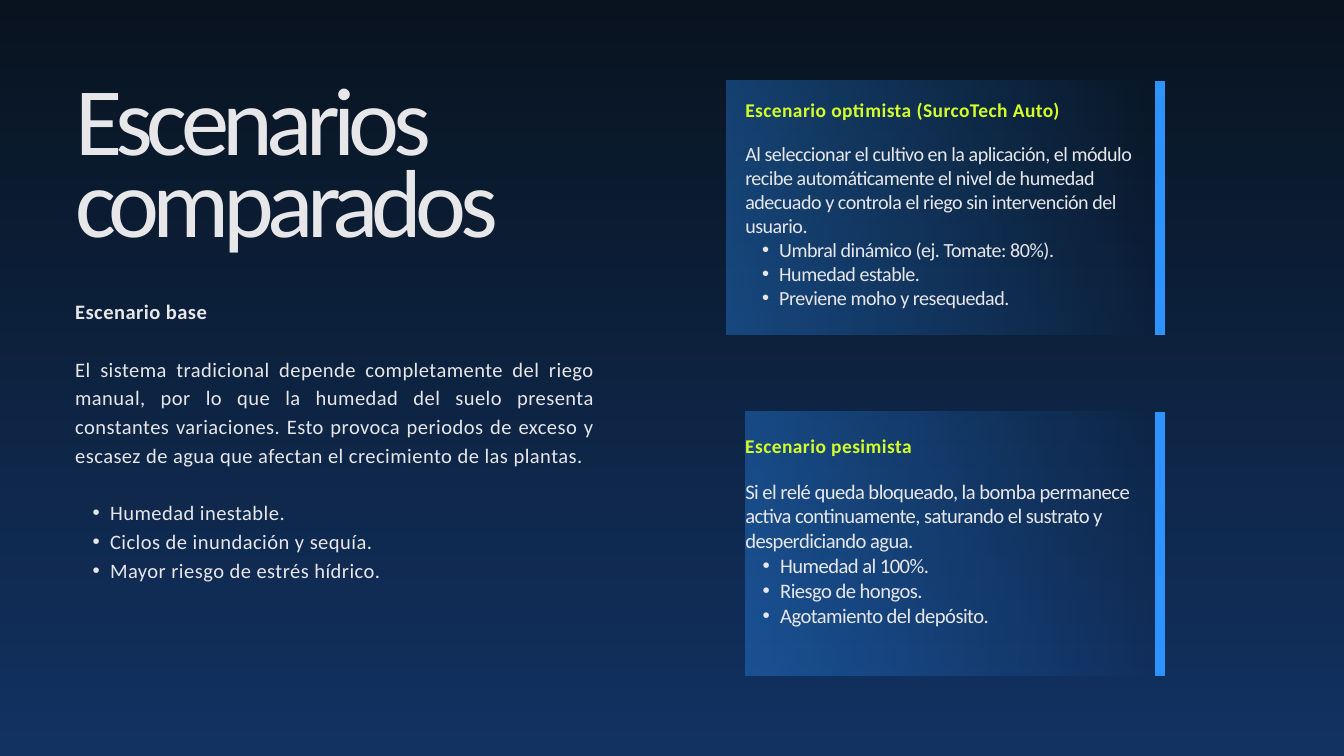
from pptx import Presentation
from pptx.dml.color import RGBColor
from pptx.enum import shapes, text
from pptx.oxml import ns, xmlchemy
from pptx.util import Pt

PALE, LIME, BLUE = "E7E7E9", "D4FF29", "2C93FF"
LEFT, COLUMN, RIGHT = 80.6, 798.5, 1242.7

TITLE = "Escenarios comparados"
BASE = {
    "heading": "Escenario base",
    "intro": "El sistema tradicional depende completamente del riego manual, por lo que la humedad del suelo presenta constantes variaciones. Esto provoca periodos de exceso y escasez de agua que afectan el crecimiento de las plantas.",
    "points": ["Humedad inestable.", "Ciclos de inundación y sequía.", "Mayor riesgo de estrés hídrico."],
}
SCENARIOS = [
    {
        "heading": "Escenario optimista (SurcoTech Auto)",
        "intro": "Al seleccionar el cultivo en la aplicación, el módulo recibe automáticamente el nivel de humedad adecuado y controla el riego sin intervención del usuario.",
        "points": ["Umbral dinámico (ej. Tomate: 80%).", "Humedad estable.", "Previene moho y resequedad."],
        "panel": (778.3, 86.4, 272.2),
        "heading_box": (COLUMN, 100.8, 416.2, 30.2),
        "body_box": (COLUMN, 151.2, 416.2, 207.4),
        "format": {"size": 21.5, "spacing": -0.5, "leading": 25.8, "indent": 18.2},
    },
    {
        "heading": "Escenario pesimista",
        "intro": "Si el relé queda bloqueado, la bomba permanece activa continuamente, saturando el sustrato y desperdiciando agua.",
        "points": ["Humedad al 100%.", "Riesgo de hongos.", "Agotamiento del depósito."],
        "panel": (COLUMN, 441.4, 282.9),
        "heading_box": (COLUMN, 460.8, 216, 30.2),
        "body_box": (COLUMN, 512.6, 423.4, 187.9),
        "format": {"size": 22.1, "spacing": -0.6, "leading": 26.6, "indent": 18.7},
    },
]
TITLE_FORMAT = {"size": 103.5, "spacing": -7.1, "leading": 88}
BASE_FORMAT = {"size": 22, "spacing": 0.5, "leading": 30.8, "indent": 18.7,
               "align": text.PP_ALIGN.JUSTIFY}
HEADING_FORMAT = {"size": 20.8, "spacing": 0.5, "leading": 29.1, "color": LIME, "bold": True}


def rgb(value):
    return RGBColor.from_string(value)


def add_child(parent, tag, **attributes):
    child = xmlchemy.OxmlElement(tag)
    for key, value in attributes.items():
        child.set(key, value)
    parent.append(child)


def blend(fill, colors, angle):
    fill.gradient()
    fill.gradient_angle = angle
    for stop, color in zip(fill.gradient_stops, colors):
        stop.color.rgb = rgb(color)


def write(slide, box, paragraphs, style):
    frame = slide.shapes.add_textbox(*map(Pt, box)).text_frame
    settings = {"word_wrap": True, "auto_size": text.MSO_AUTO_SIZE.SHAPE_TO_FIT_TEXT,
                "margin_left": 0, "margin_right": 0, "margin_top": 0, "margin_bottom": 0}
    for name, value in settings.items():
        setattr(frame, name, value)
    for index, (words, extra) in enumerate(paragraphs):
        look = {**style, **extra}
        paragraph = frame.add_paragraph() if index else frame.paragraphs[0]
        paragraph.line_spacing = Pt(look["leading"])
        paragraph.alignment = look.get("align", text.PP_ALIGN.LEFT)
        if "before" in look:
            paragraph.space_before = Pt(look["before"])
        if look.get("bullet"):
            paragraph.level = 1
            properties = paragraph._p.get_or_add_pPr()
            properties.set("marL", str(Pt(2 * look["indent"])))
            properties.set("indent", str(-Pt(look["indent"])))
            add_child(properties, "a:buFont", typeface="Arial")
            add_child(properties, "a:buChar", char="•")
        run = paragraph.add_run()
        run.text = words
        font = {"name": "Calibri", "size": Pt(look["size"]), "bold": look.get("bold", False)}
        for name, value in font.items():
            setattr(run.font, name, value)
        run.font.fill.solid()
        run.font.fill.fore_color.rgb = rgb(look.get("color", PALE))
        run._r.get_or_add_rPr().set("spc", str(round(look["spacing"] * 100)))
    return frame


def bullets(points, **first):
    return [(point, {"bullet": True, **({} if index else first)})
            for index, point in enumerate(points)]


def add_panel(slide, left, top, height):
    panel = slide.shapes.add_shape(shapes.MSO_SHAPE.RECTANGLE, Pt(left), Pt(top),
                                   Pt(RIGHT - left), Pt(height))
    panel.shadow.inherit = False
    panel.line.fill.background()
    blend(panel.fill, (BLUE, BLUE), 0)
    stops = panel._element.spPr.iter(ns.qn("a:srgbClr"))
    for stop, alpha in zip(stops, ("35000", "0")):
        add_child(stop, "a:alpha", val=alpha)
    edge = slide.shapes.add_connector(shapes.MSO_CONNECTOR.STRAIGHT, Pt(RIGHT), Pt(top),
                                      Pt(RIGHT), Pt(top + height))
    edge.line.width = Pt(10)
    edge.line.color.rgb = rgb(BLUE)
    add_child(edge._element.spPr, "a:effectLst")


def main():
    deck = Presentation()
    deck.slide_width, deck.slide_height = Pt(1440), Pt(810)
    slide = deck.slides.add_slide(deck.slide_layouts[6])
    blend(slide.background.fill, ("08131F", "123262"), 270)

    title = write(slide, (LEFT, 99.4, 556.6, 281.5), [(TITLE, {})], TITLE_FORMAT)
    blend(title.paragraphs[0].runs[0].font.fill, (PALE, "7A828F"), 270)

    gap = BASE_FORMAT["leading"]
    base = [(BASE["heading"], {"bold": True}), (BASE["intro"], {"before": gap})]
    write(slide, (LEFT, 316.1, 556.6, 339.1), base + bullets(BASE["points"], before=gap),
          BASE_FORMAT)

    for scenario in SCENARIOS:
        add_panel(slide, *scenario["panel"])
        write(slide, scenario["body_box"],
              [(scenario["intro"], {})] + bullets(scenario["points"]), scenario["format"])
        write(slide, scenario["heading_box"], [(scenario["heading"], {})], HEADING_FORMAT)

    deck.save("out.pptx")


if __name__ == "__main__":
    main()
